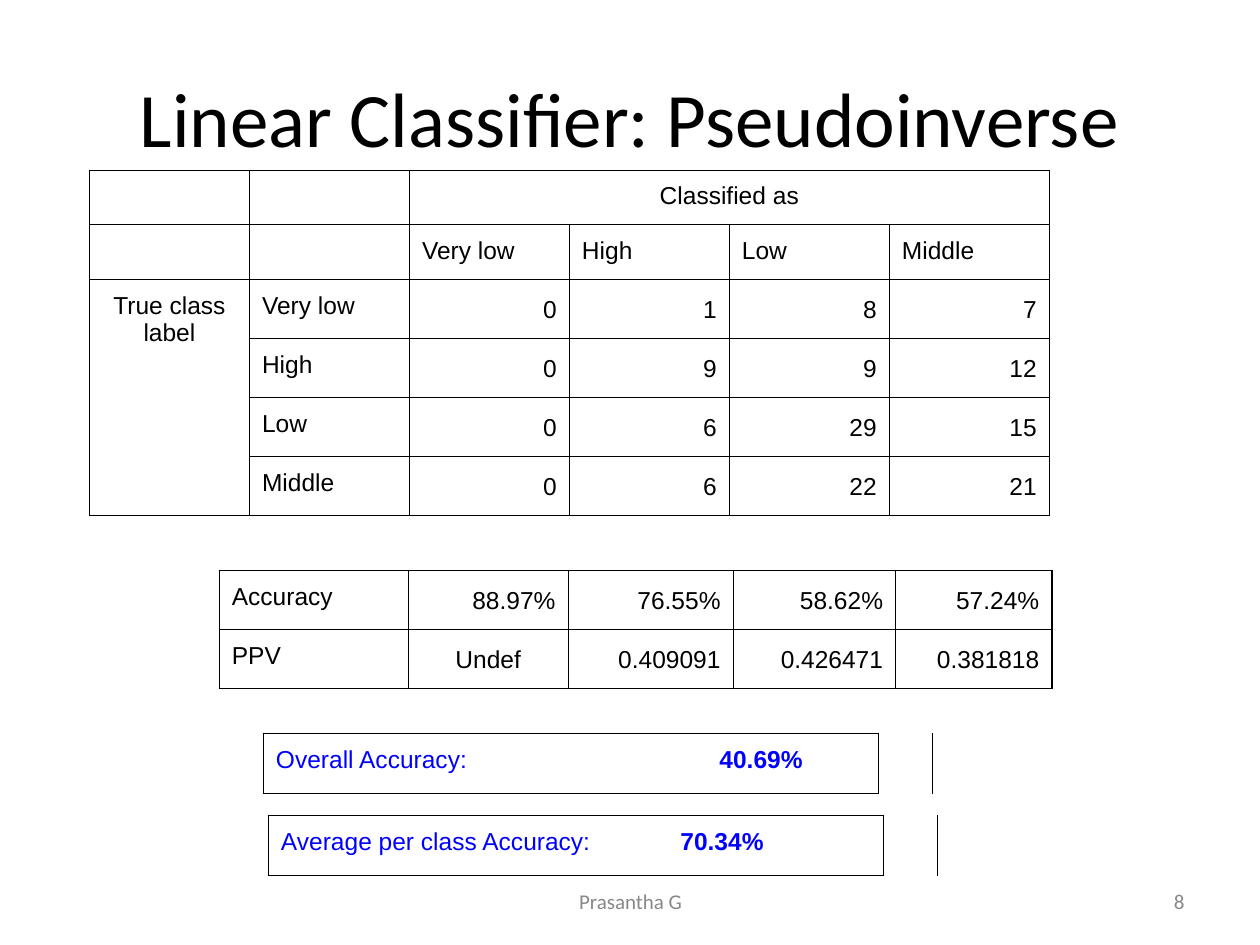
from lxml import etree
from pptx import Presentation
from pptx.dml.color import RGBColor
from pptx.enum.text import MSO_ANCHOR, PP_ALIGN
from pptx.oxml.ns import qn
from pptx.util import Inches, Pt

LEFT, CENTER, RIGHT = PP_ALIGN.LEFT, PP_ALIGN.CENTER, PP_ALIGN.RIGHT
MIDDLE = MSO_ANCHOR.MIDDLE
COLORS = {"text": "000000", "border": "000000", "footer": "888888", "summary": "0000FF"}
ALL_SIDES = "LRTB"


class SlideBuilder:
    heading_font, table_font = "Calibri", "Arial"
    table_size = 14
    cell_margin = Inches(0.1)
    border_width = Pt(0.75)

    def __init__(self, slide):
        self.slide = slide

    def style_run(self, run, font, size, color, bold=False):
        run.font.name, run.font.size, run.font.bold = font, Pt(size), bold
        run.font.color.rgb = RGBColor.from_string(COLORS[color])

    def text(self, wording, left, top, width, height, size, color, align):
        box = self.slide.shapes.add_textbox(
            Inches(left), Inches(top), Inches(width), Inches(height))
        frame = box.text_frame
        frame.word_wrap, frame.vertical_anchor = True, MIDDLE
        frame.text = wording
        paragraph = frame.paragraphs[0]
        paragraph.alignment = align
        self.style_run(paragraph.runs[0], self.heading_font, size, color)

    def table(self, left, top, column_widths, row_heights):
        frame = self.slide.shapes.add_table(
            len(row_heights), len(column_widths), Inches(left), Inches(top),
            Inches(sum(column_widths)), Inches(sum(row_heights)))
        table = frame.table
        table.first_row = table.horz_banding = False
        for column, width in zip(table.columns, column_widths):
            column.width = Inches(width)
        for row, height in zip(table.rows, row_heights):
            row.height = Inches(height)
        for cell in table.iter_cells():
            cell.margin_left = cell.margin_right = self.cell_margin
            cell.margin_top = cell.margin_bottom = self.cell_margin
            self.borders(cell, ALL_SIDES)
            cell.fill.background()
            # An empty cell would otherwise grow to the default 18 pt line.
            etree.SubElement(cell.text_frame.paragraphs[0]._p, qn("a:endParaRPr"),
                             sz=str(self.table_size * 100))
        return table

    def borders(self, cell, sides):
        """Draw the given sides of a cell and hide the others."""
        properties = cell._tc.get_or_add_tcPr()
        for position, side in enumerate(ALL_SIDES):
            for old_line in properties.findall(qn(f"a:ln{side}")):
                properties.remove(old_line)
            line = etree.Element(qn(f"a:ln{side}"), w=str(self.border_width))
            if side in sides:
                fill = etree.SubElement(line, qn("a:solidFill"))
                etree.SubElement(fill, qn("a:srgbClr"), val=COLORS["border"])
            else:
                etree.SubElement(line, qn("a:noFill"))
            properties.insert(position, line)

    def cell(self, cell, wording, align=LEFT, spacing=None):
        cell.text_frame.text = wording
        paragraph = cell.text_frame.paragraphs[0]
        paragraph.alignment = align
        if spacing:
            paragraph.line_spacing = spacing
        self.style_run(paragraph.runs[0], self.table_font, self.table_size, "text")

    def labelled_rows(self, table, rows, first_row=0, label_column=0):
        """Fill rows with a label followed by right-aligned values."""
        for r, (label, *values) in enumerate(rows, first_row):
            self.cell(table.cell(r, label_column), label)
            for c, value in enumerate(values, label_column + 1):
                align = CENTER if value == "Undef" else RIGHT
                self.cell(table.cell(r, c), value, align, spacing=1.15)

    def summary(self, label, value, left, top, value_offset):
        """Add a boxed result whose value starts at a tab stop."""
        table = self.table(left, top, [1.53, 1.6, 1.75, 0.43, 0.51], [0.48])
        table.cell(0, 0).merge(table.cell(0, 2))
        self.borders(table.cell(0, 3), "LR")
        self.borders(table.cell(0, 4), "L")
        paragraph = table.cell(0, 0).text_frame.paragraphs[0]
        for wording, bold in ((label + "\t", False), (value, True)):
            run = paragraph.add_run()
            run.text = wording
            self.style_run(run, self.table_font, self.table_size, "summary", bold)
        stops = etree.SubElement(paragraph._p.get_or_add_pPr(), qn("a:tabLst"))
        etree.SubElement(stops, qn("a:tab"), pos=str(Inches(value_offset)), algn="l")


def main():
    deck = Presentation()
    deck.slide_width, deck.slide_height = Inches(10), Inches(7.5)
    builder = SlideBuilder(deck.slides.add_slide(deck.slide_layouts[6]))

    builder.text("Linear Classifier: Pseudoinverse", 0.5, 0.3, 9, 1.25, 44, "text", CENTER)
    builder.text("8", 7.17, 6.95, 2.33, 0.4, 12, "footer", RIGHT)
    builder.text("Prasantha G", 3.42, 6.95, 3.17, 0.4, 12, "footer", CENTER)

    confusion_rows = [
        ("Very low", "0", "1", "8", "7"),
        ("High", "0", "9", "9", "12"),
        ("Low", "0", "6", "29", "15"),
        ("Middle", "0", "6", "22", "21"),
    ]
    confusion = builder.table(0.71, 1.35, [1.27] * 6, [0.42] * 2 + [0.45] * 4)
    confusion.cell(0, 2).merge(confusion.cell(0, 5))
    confusion.cell(2, 0).merge(confusion.cell(5, 0))
    builder.cell(confusion.cell(0, 2), "Classified as", CENTER)
    builder.cell(confusion.cell(2, 0), "True class label", CENTER)
    for column, (class_name, *_) in enumerate(confusion_rows, 2):
        builder.cell(confusion.cell(1, column), class_name)
    builder.labelled_rows(confusion, confusion_rows, first_row=2, label_column=1)

    class_scores = builder.table(1.74, 4.53, [1.5, 1.27, 1.31, 1.29, 1.24], [0.45] * 2)
    builder.labelled_rows(class_scores, [
        ("Accuracy", "88.97%", "76.55%", "58.62%", "57.24%"),
        ("PPV", "Undef", "0.409091", "0.426471", "0.381818"),
    ])

    builder.summary("Overall Accuracy:", "40.69%", 2.09, 5.82, 3.52)
    builder.summary("Average per class Accuracy:", "70.34%", 2.13, 6.47, 3.17)
    deck.save("out.pptx")


if __name__ == "__main__":
    main()
